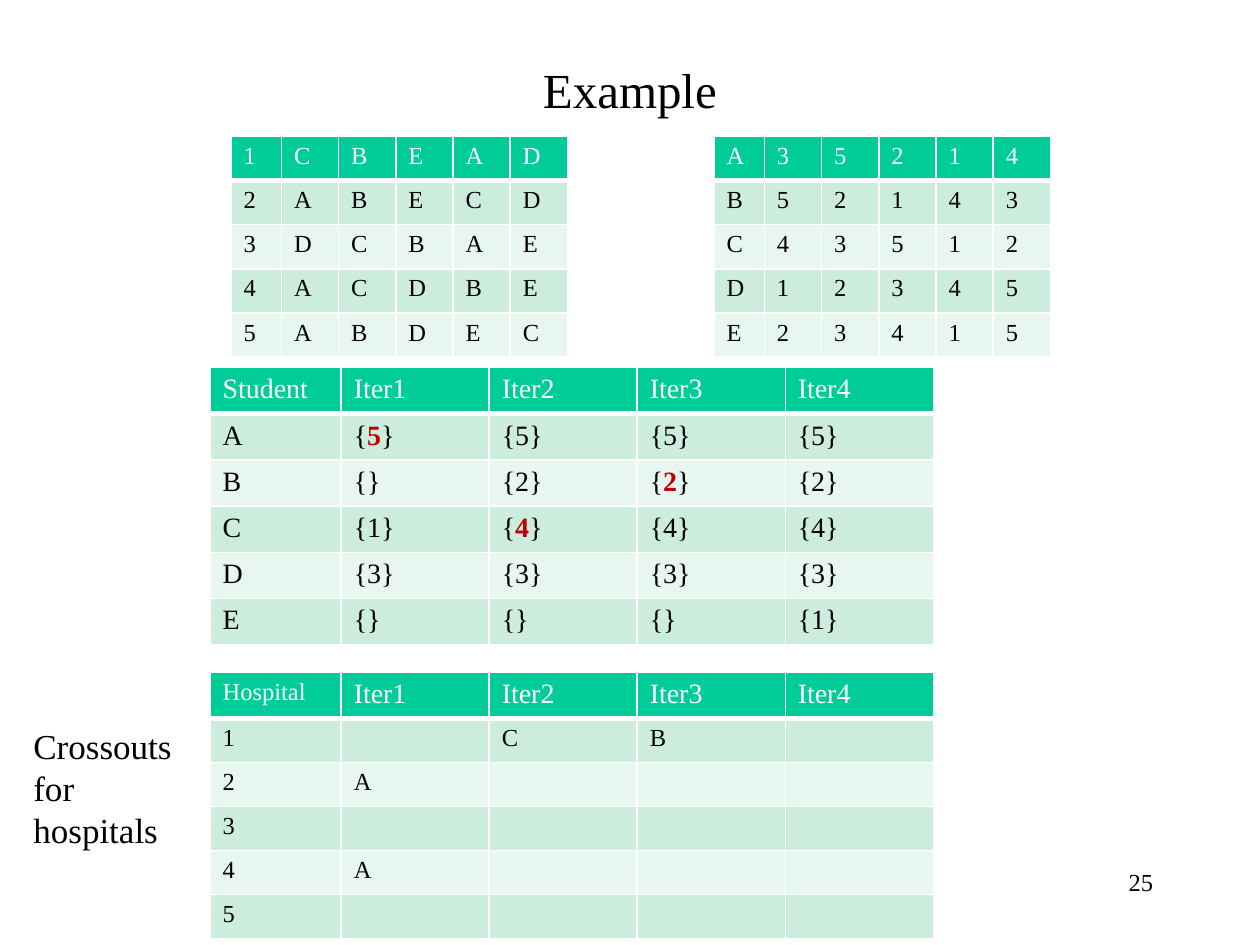
from lxml.etree import SubElement
from pptx import Presentation
from pptx.dml.color import RGBColor
from pptx.enum.text import MSO_ANCHOR, PP_ALIGN
from pptx.oxml.ns import qn
from pptx.util import Inches, Pt

COLS, ROWS = 120, 90
UNIT = Inches(10) / COLS
ROW_H = 4.2
FONT = "Times New Roman"
BLACK, WHITE, RED = "000000", "FFFFFF", "C00000"
HEADER, BANDS = "00CC99", ("E7F6EF", "CCECDE")


def rgb(value):
    return RGBColor.from_string(value)


def grid(*units):
    return [round(u * UNIT) for u in units]


def style(font, size, color, bold=False):
    font.name, font.size, font.bold = FONT, Pt(size), bold
    font.color.rgb = rgb(color)


def add_text(slide, box, lines, size, align=PP_ALIGN.LEFT, anchor=MSO_ANCHOR.TOP):
    tf = slide.shapes.add_textbox(*grid(*box)).text_frame
    tf.word_wrap = True
    tf.vertical_anchor = anchor
    tf.text = "\n".join(lines)
    for p in tf.paragraphs:
        p.alignment = align
        style(p.font, size, BLACK)


def add_borders(cell, widths):
    tc_pr = cell._tc.get_or_add_tcPr()
    for side, width in widths.items():
        ln = SubElement(tc_pr, qn(f"a:ln{side}"), w=str(Pt(width)))
        fill = SubElement(ln, qn("a:solidFill"))
        SubElement(fill, qn("a:srgbClr"), val=WHITE)


def fill_cell(cell, text, row, size, marked):
    top = 3 if row == 1 else 1
    bottom = 3 if row == 0 else 1
    add_borders(cell, {"L": 1, "R": 1, "T": top, "B": bottom})
    cell.fill.solid()
    cell.fill.fore_color.rgb = rgb(BANDS[row % 2] if row else HEADER)
    p = cell.text_frame.paragraphs[0]
    style(p.font, size, BLACK if row else WHITE)
    parts = (text[0], text[1:-1], text[-1]) if marked else (text,)
    for i, part in enumerate(filter(None, parts)):
        r = p.add_run()
        r.text = part
        if marked and i == 1:
            style(r.font, size, RED, True)


def add_grid(slide, left, top, widths, rows, size, head_size=None, marks=()):
    box = grid(left, top, sum(widths), ROW_H * len(rows))
    table = slide.shapes.add_table(len(rows), len(widths), *box).table
    for column, width in zip(table.columns, grid(*widths)):
        column.width = width
    for i, texts in enumerate(rows):
        table.rows[i].height = grid(ROW_H)[0]
        for j, text in enumerate(texts):
            cell_size = head_size if head_size and i == 0 and j else size
            fill_cell(table.cell(i, j), text, i, cell_size, (i, j) in marks)


def main():
    prs = Presentation()
    prs.slide_width, prs.slide_height = grid(COLS, ROWS)
    s = prs.slides.add_slide(prs.slide_layouts[6])

    add_text(s, (9, 5, 102, 7), ["Example"], 28, PP_ALIGN.CENTER, MSO_ANCHOR.MIDDLE)
    add_text(s, (86, 82, 25, 6), ["25"], 14, PP_ALIGN.RIGHT)

    rank_widths = [4.8] + [5.45] * 5
    hospital_ranks = ["1CBEAD", "2ABECD", "3DCBAE", "4ACDBE", "5ABDEC"]
    student_ranks = ["A35214", "B52143", "C43512", "D12345", "E23415"]
    add_grid(s, 22, 13, rank_widths, hospital_ranks, 14)
    add_grid(s, 68, 13, rank_widths, student_ranks, 14)

    iter_widths = [12.5] + [14.1] * 4
    iterations = [f"Iter{n}" for n in range(1, 5)]
    offers = [
        ["Student", *iterations],
        ["A", "{5}", "{5}", "{5}", "{5}"],
        ["B", "{}", "{2}", "{2}", "{2}"],
        ["C", "{1}", "{4}", "{4}", "{4}"],
        ["D", "{3}", "{3}", "{3}", "{3}"],
        ["E", "{}", "{}", "{}", "{1}"],
    ]
    crossouts = [
        ["Hospital", *iterations],
        ["1", "", "C", "B", ""],
        ["2", "A", "", "", ""],
        ["3", "", "", "", ""],
        ["4", "A", "", "", ""],
        ["5", "", "", "", ""],
    ]
    add_grid(s, 20, 35, iter_widths, offers, 16, marks={(1, 1), (2, 3), (3, 2)})
    add_grid(s, 20, 64, iter_widths, crossouts, 14, head_size=16)
    add_text(s, (2, 68.4, 17.8, 13.3), ["Crossouts for", "hospitals"], 20)

    prs.save("out.pptx")


if __name__ == "__main__":
    main()
